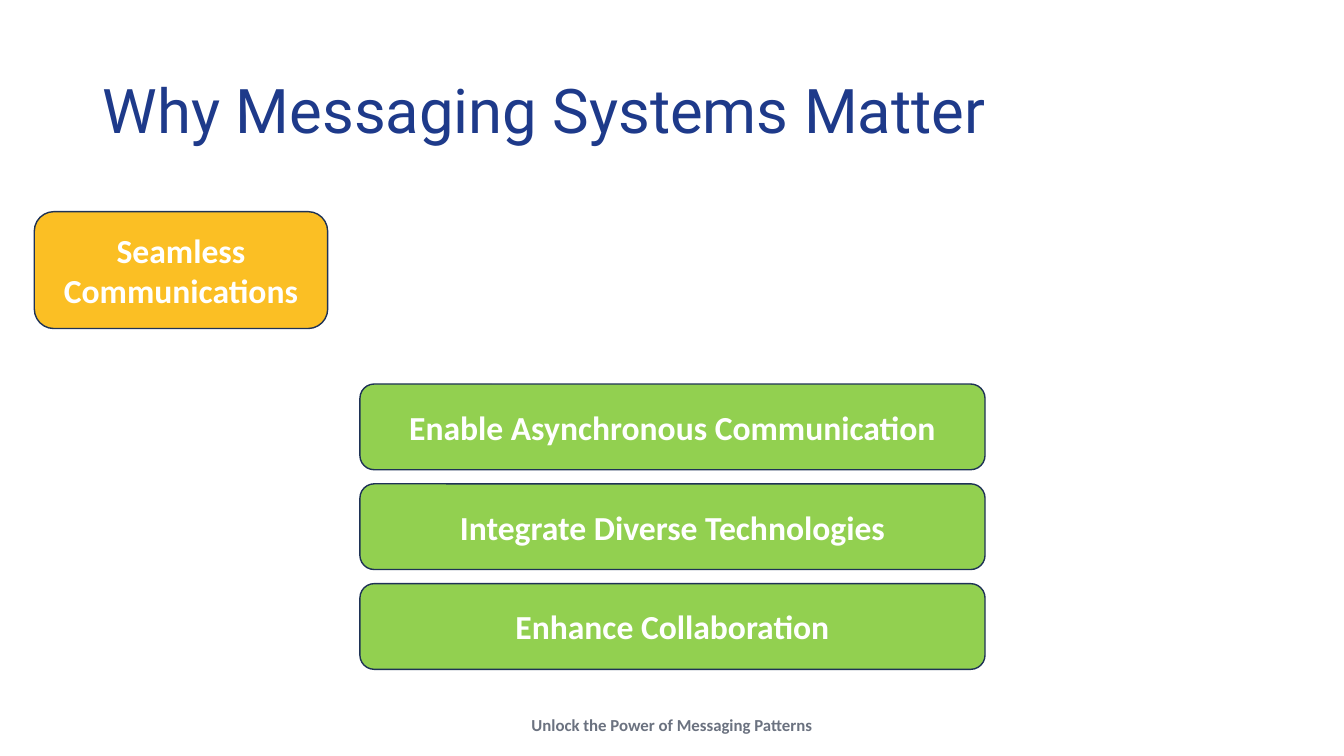
from pptx import Presentation
from pptx.dml.color import RGBColor
from pptx.enum.shapes import MSO_SHAPE
from pptx.enum.text import MSO_ANCHOR, MSO_AUTO_SIZE, PP_ALIGN
from pptx.util import Inches, Pt

NAVY = RGBColor(0x1E, 0x3A, 0x8A)
OUTLINE = RGBColor(0x1E, 0x32, 0x56)
AMBER = RGBColor(0xFB, 0xBF, 0x24)
GREEN = RGBColor(0x92, 0xD0, 0x50)
GRAY = RGBColor(0x6B, 0x72, 0x80)
WHITE = RGBColor(0xFF, 0xFF, 0xFF)

TITLE_FONT = dict(name="Roboto", size=Pt(44), bold=False)
CARD_FONT = dict(name="Calibri", size=Pt(24), bold=True)
FOOTER_FONT = dict(name="Calibri", size=Pt(12), bold=True)

BENEFITS = [
    "Enable Asynchronous Communication",
    "Integrate Diverse Technologies",
    "Enhance Collaboration",
]
BENEFIT_TOP, BENEFIT_STEP = 3.81, 0.99


def write_text(tf, text, font, color, align):
    p = tf.paragraphs[0]
    p.alignment = align
    r = p.add_run()
    r.text = text
    for key, value in font.items():
        setattr(r.font, key, value)
    r.font.color.rgb = color
    return p


def set_title(s, text):
    title = s.shapes.title
    title.left, title.top = Inches(0.92), Inches(0.4)
    title.width, title.height = Inches(11.5), Inches(1.45)
    tf = title.text_frame
    tf.vertical_anchor = MSO_ANCHOR.MIDDLE
    p = write_text(tf, text, TITLE_FONT, NAVY, PP_ALIGN.LEFT)
    p.line_spacing = 0.9


def add_card(s, text, left, top, width, height, fill):
    sp = s.shapes.add_shape(MSO_SHAPE.ROUNDED_RECTANGLE, Inches(left),
                            Inches(top), Inches(width), Inches(height))
    sp.shadow.inherit = False
    sp.fill.solid()
    sp.fill.fore_color.rgb = fill
    sp.line.color.rgb = OUTLINE
    sp.line.width = Pt(1)
    tf = sp.text_frame
    tf.word_wrap = True
    tf.vertical_anchor = MSO_ANCHOR.MIDDLE
    write_text(tf, text, CARD_FONT, WHITE, PP_ALIGN.CENTER)


def add_footer(s, text):
    box = s.shapes.add_textbox(Inches(5.15), Inches(7.04),
                               Inches(3.03), Inches(0.3))
    tf = box.text_frame
    tf.word_wrap = False
    tf.auto_size = MSO_AUTO_SIZE.SHAPE_TO_FIT_TEXT
    write_text(tf, text, FOOTER_FONT, GRAY, PP_ALIGN.CENTER)


def main():
    prs = Presentation()
    prs.slide_width, prs.slide_height = Inches(13.33), Inches(7.5)
    s = prs.slides.add_slide(prs.slide_layouts[5])

    # Title and footer
    set_title(s, "Why Messaging Systems Matter")
    add_footer(s, "Unlock the Power of Messaging Patterns")

    # Theme card
    add_card(s, "Seamless Communications", 0.34, 2.1, 2.91, 1.16, AMBER)

    # Stack of benefits
    for i, benefit in enumerate(BENEFITS):
        add_card(s, benefit, 3.57, BENEFIT_TOP + i * BENEFIT_STEP,
                 6.2, 0.85, GREEN)

    prs.save("out.pptx")


if __name__ == "__main__":
    main()
